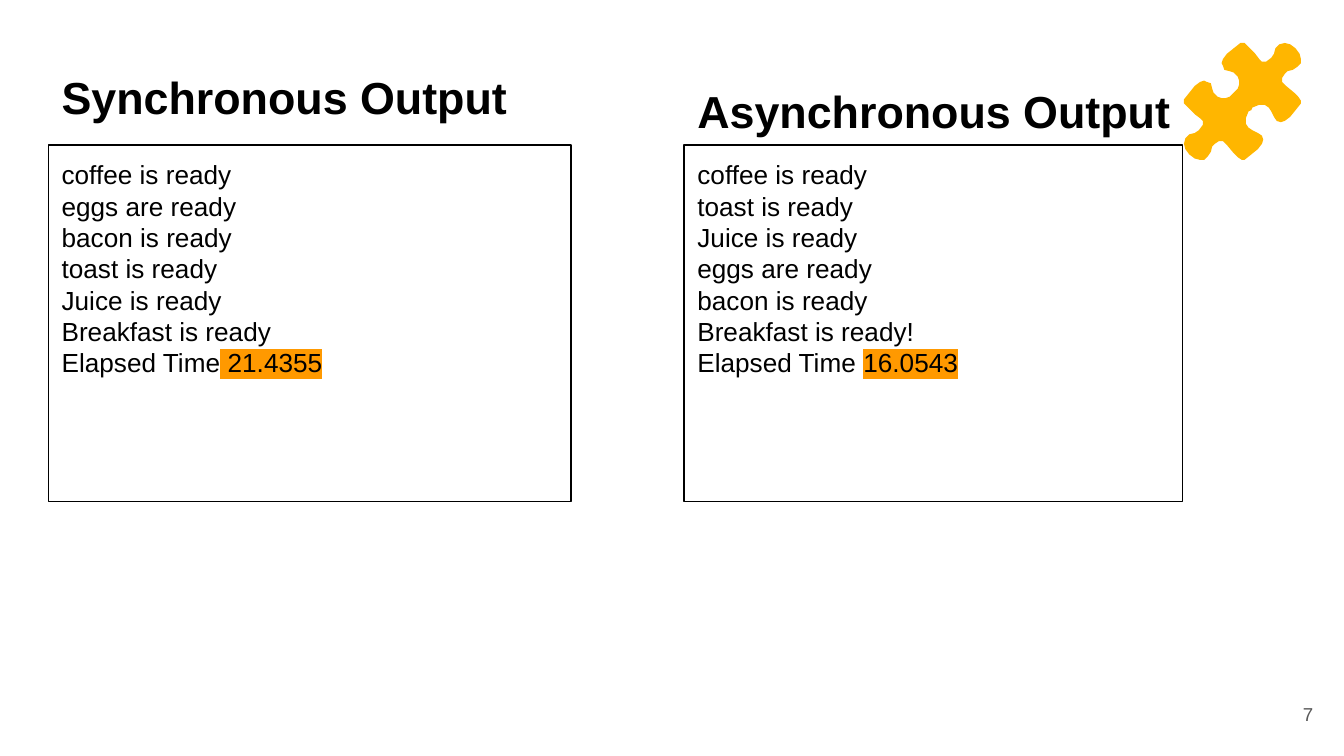
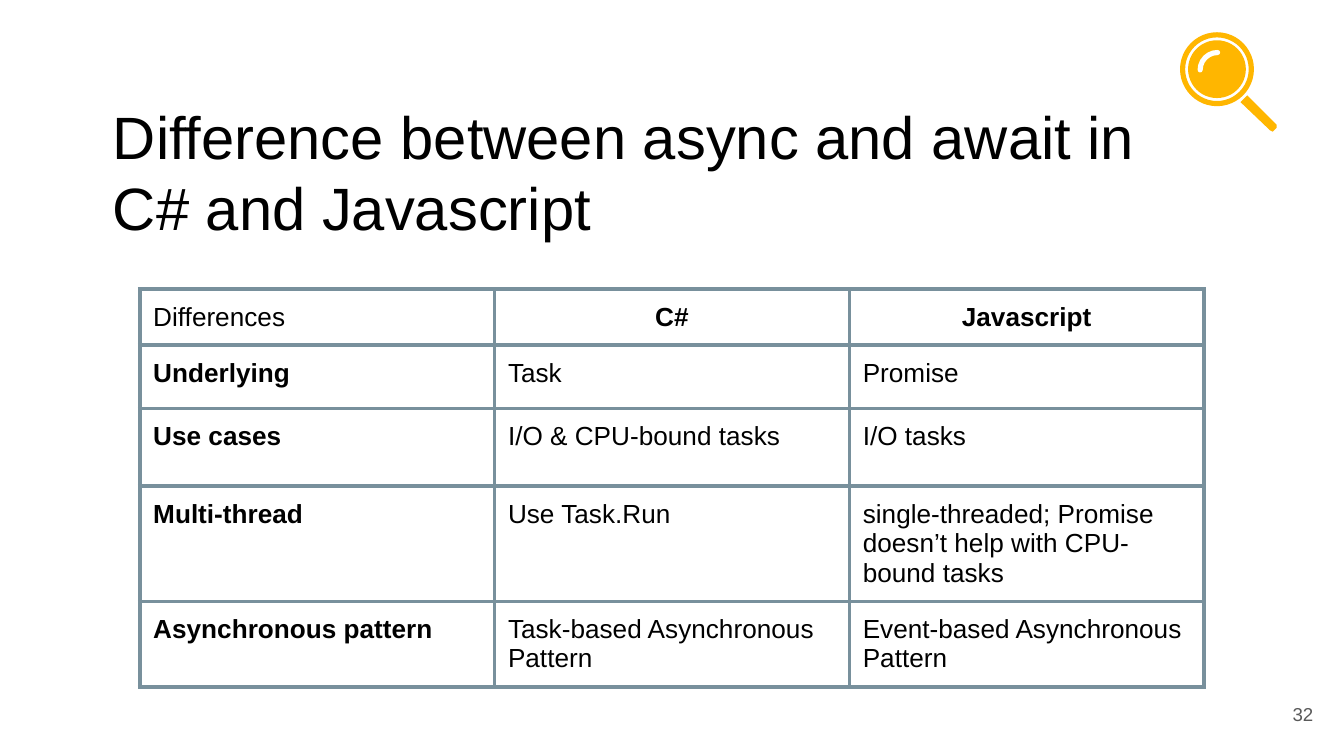
from lxml import etree
from pptx import Presentation
from pptx.dml.color import RGBColor
from pptx.enum.shapes import MSO_SHAPE
from pptx.enum.text import MSO_ANCHOR, MSO_AUTO_SIZE, PP_ALIGN
from pptx.oxml.ns import qn
from pptx.util import Pt

PX = 9144  # 100 px to the inch
WIDTH = 1000
INSET = 10
TITLE_ONLY, BLANK = 5, 6
FONT = "Arial"
COLORS = {
    "black": "000000",
    "white": "FFFFFF",
    "gray": "595959",
    "amber": "FFB600",
    "highlight": "FF9900",
    "border": "78909C",
}
LEFT, CENTER, RIGHT = PP_ALIGN.LEFT, PP_ALIGN.CENTER, PP_ALIGN.RIGHT
TOP, MIDDLE = MSO_ANCHOR.TOP, MSO_ANCHOR.MIDDLE
RECTANGLE, OVAL = MSO_SHAPE.RECTANGLE, MSO_SHAPE.OVAL
DONUT, ARC = MSO_SHAPE.DONUT, MSO_SHAPE.ARC

OUTPUT_TOP, OUTPUT_HEIGHT = 108, 265
OUTPUTS = [
    {
        "heading": "Synchronous Output",
        "heading_area": (36, 42, 448, 43),
        "left": 36,
        "width": 389,
        "lines": ["coffee is ready", "eggs are ready", "bacon is ready",
                  "toast is ready", "Juice is ready", "Breakfast is ready"],
        "elapsed": ("Elapsed Time", " 21.4355"),
    },
    {
        "heading": "Asynchronous Output",
        "heading_area": (509, 52, 406, 40),
        "left": 509,
        "width": 371,
        "lines": ["coffee is ready", "toast is ready", "Juice is ready",
                  "eggs are ready", "bacon is ready", "Breakfast is ready!"],
        "elapsed": ("Elapsed Time ", "16.0543"),
    },
]

DIFFERENCE_TITLE = "Difference between async and await in C# and Javascript"
DIFFERENCES = [
    ("Differences", "C#", "Javascript"),
    ("Underlying", "Task", "Promise"),
    ("Use cases", "I/O & CPU-bound tasks", "I/O tasks"),
    ("Multi-thread", "Use Task.Run",
     "single-threaded; Promise doesn’t help with CPU-bound tasks"),
    ("Asynchronous pattern", "Task-based Asynchronous Pattern",
     "Event-based Asynchronous Pattern"),
]
COLUMN_WIDTH = 264
ROW_HEIGHTS = [41, 47, 58, 58, 58]

# Lower-left half of the puzzle piece, between its two points on the diagonal
PUZZLE_HALF = [
    (918, 69), (915, 72), (912, 73), (909, 73), (906, 72), (903, 69),
    (902, 66), (901, 62), (898, 61), (896, 60), (893, 61), (889, 64),
    (885, 69), (881, 74), (881, 77), (883, 79), (889, 85), (893, 88),
    (895, 90), (895, 93), (892, 97), (889, 99), (885, 100), (882, 103),
    (881, 107), (882, 111), (885, 115), (889, 118), (893, 119), (896, 119),
    (899, 116), (901, 113), (902, 109), (904, 107), (907, 105), (910, 105),
    (913, 108), (918, 114), (921, 117), (924, 119), (926, 119), (931, 115),
    (936, 111), (939, 107), (940, 104), (939, 101), (936, 99), (932, 97),
    (929, 95), (927, 92), (927, 88), (929, 83), (931, 82),
]
PUZZLE_DIAGONAL = 849  # x minus y along the mirror line
HANDLE = [(928, 71), (923, 76), (945, 97), (947, 98), (948, 97),
          (950, 95), (950, 93)]


def emu(*lengths):
    return [length * PX for length in lengths]


def rgb(name):
    return RGBColor.from_string(COLORS[name])


def style_paragraph(para, size, color="black", bold=False, align=LEFT):
    para.alignment = align
    para.line_spacing = 1.0
    para.font.name = FONT
    para.font.size = Pt(size)
    para.font.bold = bold
    para.font.color.rgb = rgb(color)


def prepare_frame(frame, anchor=TOP):
    frame.word_wrap = True
    frame.auto_size = MSO_AUTO_SIZE.NONE
    frame.vertical_anchor = anchor
    frame.margin_left = frame.margin_right = INSET * PX
    frame.margin_top = frame.margin_bottom = INSET * PX


def add_label(page, area, text, size, anchor=TOP, **style):
    frame = page.shapes.add_textbox(*emu(*area)).text_frame
    prepare_frame(frame, anchor)
    frame.text = text
    style_paragraph(frame.paragraphs[0], size, **style)


def add_page_number(page, number):
    add_label(page, (927, 510, 60, 43), number, 10, MIDDLE,
              color="gray", align=RIGHT)


def paint(shape, color):
    shape.shadow.inherit = False
    shape.fill.solid()
    shape.fill.fore_color.rgb = rgb(color)
    shape.line.fill.background()


def add_outline(page, points, color):
    builder = page.shapes.build_freeform(*points[0], scale=PX)
    builder.add_line_segments(points[1:], close=True)
    paint(builder.convert_to_shape(), color)


def add_puzzle_piece(page):
    mirrored = [(y + PUZZLE_DIAGONAL, x - PUZZLE_DIAGONAL)
                for x, y in reversed(PUZZLE_HALF[1:-1])]
    add_outline(page, PUZZLE_HALF + mirrored, "amber")


def add_magnifier(page):
    rim = page.shapes.add_shape(DONUT, *emu(878, 24, 55, 55))
    rim.adjustments[0] = 0.07
    lens = page.shapes.add_shape(OVAL, *emu(884, 30, 43, 43))
    for part in (rim, lens):
        paint(part, "amber")
    glint = page.shapes.add_shape(ARC, *emu(893, 39, 26, 26))
    glint.rotation = 270
    glint.shadow.inherit = False
    glint.fill.background()
    glint.line.color.rgb = rgb("white")
    glint.line.width = Pt(2.75)
    glint.line._get_or_add_ln().set("cap", "rnd")
    add_outline(page, HANDLE, "amber")


def highlight(span):
    mark = etree.SubElement(span._r.get_or_add_rPr(), qn("a:highlight"))
    etree.SubElement(mark, qn("a:srgbClr"), val=COLORS["highlight"])


def add_output(page, output):
    add_label(page, output["heading_area"], output["heading"], 24, bold=True)
    box = page.shapes.add_shape(RECTANGLE, *emu(
        output["left"], OUTPUT_TOP, output["width"], OUTPUT_HEIGHT))
    box.shadow.inherit = False
    box.fill.background()
    box.line.color.rgb = rgb("black")
    box.line.width = Pt(0.75)
    frame = box.text_frame
    prepare_frame(frame)
    label, seconds = output["elapsed"]
    frame.text = "\n".join(output["lines"] + [label])
    for para in frame.paragraphs:
        style_paragraph(para, 14)
    span = frame.paragraphs[-1].add_run()
    span.text = seconds
    highlight(span)


def set_borders(cell):
    properties = cell._tc.get_or_add_tcPr()
    for side in ("lnL", "lnR", "lnT", "lnB"):
        line = etree.SubElement(properties, qn(f"a:{side}"), w=str(Pt(2.25)))
        fill = etree.SubElement(line, qn("a:solidFill"))
        etree.SubElement(fill, qn("a:srgbClr"), val=COLORS["border"])


def add_difference_table(page):
    columns = len(DIFFERENCES[0])
    table = page.shapes.add_table(len(DIFFERENCES), columns, *emu(
        104, 215, COLUMN_WIDTH * columns, sum(ROW_HEIGHTS))).table
    table.first_row = table.horz_banding = False
    for column in table.columns:
        column.width = COLUMN_WIDTH * PX
    for r, (height, texts) in enumerate(zip(ROW_HEIGHTS, DIFFERENCES)):
        table.rows[r].height = height * PX
        for c, text in enumerate(texts):
            cell = table.cell(r, c)
            set_borders(cell)
            cell.fill.background()
            cell.margin_left = cell.margin_right = INSET * PX
            cell.margin_top = cell.margin_bottom = INSET * PX
            cell.text = text
            column_head = r == 0 and c > 0
            row_head = c == 0 and r > 0
            style_paragraph(cell.text_frame.paragraphs[0], 14,
                            bold=column_head or row_head,
                            align=CENTER if column_head else LEFT)


def build_output_page(deck):
    page = deck.slides.add_slide(deck.slide_layouts[BLANK])
    add_page_number(page, "7")
    add_puzzle_piece(page)
    for output in OUTPUTS:
        add_output(page, output)


def build_difference_page(deck):
    page = deck.slides.add_slide(deck.slide_layouts[TITLE_ONLY])
    title = page.shapes.title
    title.left, title.top, title.width, title.height = emu(74, 64, 822, 133)
    prepare_frame(title.text_frame)
    title.text_frame.text = DIFFERENCE_TITLE
    style_paragraph(title.text_frame.paragraphs[0], 32)
    add_page_number(page, "32")
    add_magnifier(page)
    add_difference_table(page)


def main():
    deck = Presentation()
    deck.slide_width = WIDTH * PX
    deck.slide_height = deck.slide_width * 9 // 16
    build_output_page(deck)
    build_difference_page(deck)
    deck.save("out.pptx")


if __name__ == "__main__":
    main()
